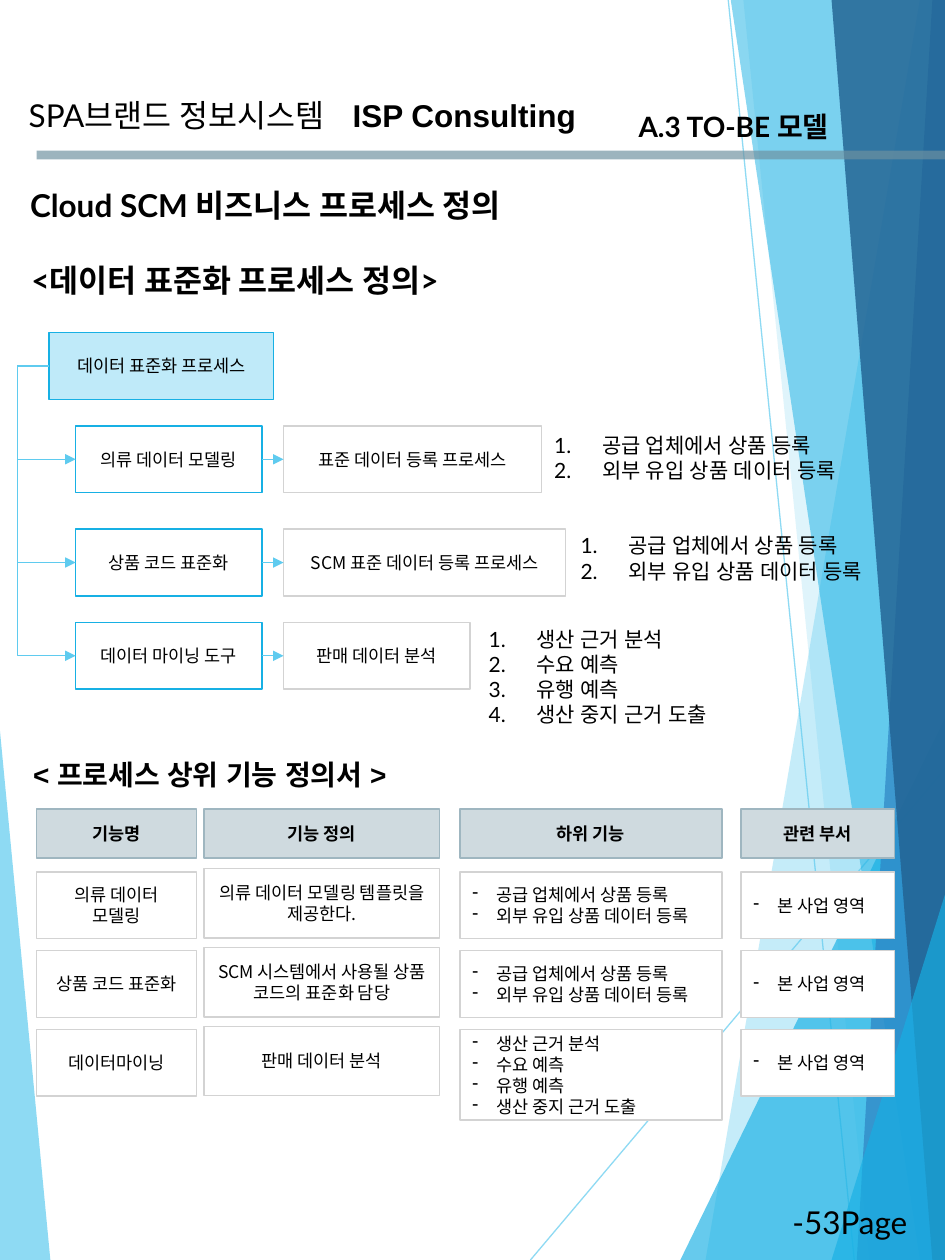
import pptx
import pptx.dml.color
import pptx.enum.shapes
import pptx.enum.text
import pptx.oxml
import pptx.oxml.ns
import pptx.util

COLUMNS, ROWS = 75, 100          # slide grid of square cells
CELL = pptx.util.Inches(0.1)
COLORS = {
    "text": "000000", "paper": "FFFFFF", "sky": "5FCBEF", "cyan": "17B0E4",
    "blue": "2E83C3", "navy": "226292", "pale": "BFEAF9", "grey": "D3D3D3",
    "rule": "6E91A0", "head": "CFDADF", "head_edge": "9FB6C0",
}
BOX_FONT = "Noto Sans CJK KR"
ALIGN = pptx.enum.text.PP_ALIGN
ANCHOR = pptx.enum.text.MSO_ANCHOR
CONNECTOR = pptx.enum.shapes.MSO_CONNECTOR
RECTANGLE = pptx.enum.shapes.MSO_SHAPE.RECTANGLE
TOP_LEVEL = [  # facets: points in cells, colour, opacity
    ([(-0.1, 58.5), (3.7, 100.1), (-0.1, 100)], "sky", 70),
    ([(73.1, 0), (56.5, 100), (75.1, 100.1), (75.1, 0)], "sky", 36),
    ([(59.1, -0.1), (69, 100), (75.1, 100), (75.1, -0.1)], "sky", 20),
    ([(54.4, 100), (75, 57.2), (75.1, 100)], "cyan", 66),
    ([(57.5, -0.1), (72.7, 100), (75.1, 99.9), (75.1, -0.1)], "cyan", 50),
    ([(73.6, -0.1), (68, 100), (75.1, 100), (75, -0.1)], "blue", 70),
    ([(66.4, -0.1), (74.1, 100), (75.1, 100), (75, -0.1)], "navy", 82),
    ([(66.2, 100), (75.1, 71.4), (75.2, 99.9)], "cyan", 66),
]
REGISTER = ["공급 업체에서 상품 등록", "외부 유입 상품 데이터 등록"]
MINING = ["생산 근거 분석", "수요 예측", "유행 예측", "생산 중지 근거 도출"]


def cells(*lengths):
    return [round(length * CELL) for length in lengths]


def color(name):
    return pptx.dml.color.RGBColor.from_string(COLORS[name])


def element(tag, **values):
    node = pptx.oxml.parse_xml(f"<a:{tag} {pptx.oxml.ns.nsdecls('a')}/>")
    for key, value in values.items():
        node.set(key, str(value))
    return node


def set_opacity(shape, percent):
    for node in shape._element.spPr.iter(pptx.oxml.ns.qn("a:srgbClr")):
        node.append(element("alpha", val=percent * 1000))


def write(shape, lines, size, font, bold=False, align=ALIGN.LEFT, bullet=None,
          indent=0, spacing=None):
    frame = shape.text_frame
    for index, line in enumerate(lines):
        para = frame.paragraphs[0] if index == 0 else frame.add_paragraph()
        if bullet is not None:
            properties = para._p.get_or_add_pPr()
            offset = int(pptx.util.Inches(indent))
            properties.set("marL", str(offset))
            properties.set("indent", str(-offset))
            properties.append(element(*bullet[:1], **bullet[1]))
        para.alignment = align
        if spacing:
            para.line_spacing = pptx.util.Pt(spacing)
        span = para.add_run()
        span.text = line
        look = {"size": pptx.util.Pt(size), "name": font, "bold": bold}
        for key, value in look.items():
            setattr(span.font, key, value)
        span.font.color.rgb = color("text")
        span.font._element.append(element("ea", typeface=font))


def add_text(slide, place, lines, size, font="Lato", wrap=False, **style):
    box = slide.shapes.add_textbox(*cells(*place))
    box.text_frame.word_wrap = wrap
    write(box, lines, size, font, **style)


def add_numbers(slide, place, lines):
    add_text(slide, place, lines, 12, indent=0.38,
             bullet=("buAutoNum", {"type": "arabicPeriod"}))


def add_box(slide, place, lines, fill="paper", edge="grey", dashes=False,
            bold=False):
    box = slide.shapes.add_shape(RECTANGLE, *cells(*place))
    box.shadow.inherit = False
    box.fill.solid()
    box.fill.fore_color.rgb = color(fill)
    box.line.color.rgb = color(edge)
    box.line.width = pptx.util.Pt(0.85)
    box.text_frame.word_wrap = True
    box.text_frame.vertical_anchor = ANCHOR.MIDDLE
    style = {"align": ALIGN.CENTER}
    if dashes:
        style = {"bullet": ("buChar", {"char": "-"}), "indent": 0.19}
    write(box, lines, 10, BOX_FONT, bold=bold, spacing=12, **style)
    return box


def add_line(slide, ends, name="sky", width=0.75, opacity=100,
             kind=CONNECTOR.STRAIGHT):
    line = slide.shapes.add_connector(kind, *cells(*ends))
    line.line.color.rgb = color(name)
    line.line.width = pptx.util.Pt(width)
    line._element.spPr.append(element("effectLst"))
    if opacity < 100:
        set_opacity(line, opacity)
    return line


def add_arrow(slide, start, start_side, end, kind=CONNECTOR.STRAIGHT):
    arrow = add_line(slide, (0, 0, 1, 1), kind=kind)
    arrow.begin_connect(start, start_side)
    arrow.end_connect(end, 1)
    arrow.line._get_or_add_ln().append(element("tailEnd", type="triangle"))
    return arrow


def add_branch(slide, start, end):
    branch = add_arrow(slide, start, 1, end, CONNECTOR.ELBOW)
    guides = branch._element.spPr.prstGeom.get_or_add_avLst()
    guides.append(element("gd", name="adj1", fmla="val -121200"))


def add_facet(slide, points, name, opacity):
    builder = slide.shapes.build_freeform(*points[0], scale=CELL)
    builder.add_line_segments(points[1:], close=True)
    facet = builder.convert_to_shape()
    facet.shadow.inherit = False
    facet.fill.solid()
    facet.fill.fore_color.rgb = color(name)
    facet.line.fill.background()
    set_opacity(facet, opacity)


def add_backdrop(slide):
    add_facet(slide, *TOP_LEVEL[0])
    add_line(slide, (42.1, 100, 75.1, 60.9), opacity=70)
    add_line(slide, (57.8, 0, 67.8, 100), opacity=70)
    for facet in TOP_LEVEL[1:]:
        add_facet(slide, *facet)


def add_headings(slide):
    add_line(slide, (2.9, 12.3, COLUMNS, 12.3), "rule", 5, 67)
    add_text(slide, (27, 7.1, 20.7, 4), ["ISP Consulting"], 18, "Arial", bold=True)
    add_text(slide, (1.3, 7.1, 27.4, 4), ["SPA브랜드 정보시스템"], 18)
    add_text(slide, (49.7, 8.2, 17.6, 3.7), ["A.3 TO-BE 모델"], 16, bold=True)
    add_text(slide, (1.4, 14.3, 41.1, 4), ["Cloud SCM 비즈니스 프로세스 정의"], 18,
             bold=True)
    add_text(slide, (1.5, 20.2, 36.9, 4), ["<데이터 표준화 프로세스 정의>"], 18,
             bold=True)
    add_text(slide, (-0.3, 59.6, 33.9, 3.7), ["< 프로세스 상위 기능 정의서 >"], 16,
             "Arial", wrap=True, bold=True, align=ALIGN.CENTER)
    add_text(slide, (61.9, 95, 11.8, 4), ["-53Page-"], 18)


def add_process(slide):
    root = add_box(slide, (3.9, 26.4, 17.8, 5.3), ["데이터 표준화 프로세스"],
                   "pale", "cyan")
    steps = [  # top, step, process, process width, list place, list
        (33.8, "의류 데이터 모델링", "표준 데이터 등록 프로세스", 20.5,
         (43, 33.8, 26.4, 5), REGISTER),
        (42, "상품 코드 표준화", "SCM 표준 데이터 등록 프로세스", 22.4,
         (45.1, 41.8, 26.4, 5), REGISTER),
        (49.4, "데이터 마이닝 도구", "판매 데이터 분석", 14.8,
         (37.8, 49.2, 20.8, 9.1), MINING),
    ]
    for top, step, process, width, place, items in steps:
        step_box = add_box(slide, (6, top, 14.8, 5.3), [step], edge="cyan")
        process_box = add_box(slide, (22.5, top, width, 5.3), [process])
        add_branch(slide, root, step_box)
        add_arrow(slide, step_box, 3, process_box)
        add_numbers(slide, place, items)


def add_functions(slide):
    lefts, widths = (2.9, 16.2, 36.5, 58.8), (12.7, 18.7, 20.8, 12.2)
    heads = ("기능명", "기능 정의", "하위 기능", "관련 부서")
    for left, width, head in zip(lefts, widths, heads):
        add_box(slide, (left, 64.2, width, 3.9), [head], "head", "head_edge",
                bold=True)
    functions = [
        ("의류 데이터 모델링", "의류 데이터 모델링 템플릿을 제공한다.", REGISTER),
        ("상품 코드 표준화", "SCM 시스템에서 사용될 상품 코드의 표준화 담당", REGISTER),
        ("데이터마이닝", "판매 데이터 분석", MINING),
    ]
    for row, (name, meaning, items) in enumerate(functions):
        top = 69.2 + 6.25 * row
        contents = ([name], [meaning], items, ["본 사업 영역"])
        tops = (top, top - 0.25, top, top)
        heights = (5.3, 5.5, 7.2 if len(items) > 2 else 5.3, 5.3)
        for column, place in enumerate(zip(lefts, tops, widths, heights)):
            add_box(slide, place, contents[column], dashes=column > 1)


def main():
    deck = pptx.Presentation()
    deck.slide_width, deck.slide_height = cells(COLUMNS, ROWS)
    page = deck.slides.add_slide(deck.slide_layouts[6])
    add_backdrop(page)
    add_headings(page)
    add_process(page)
    add_functions(page)
    deck.save("out.pptx")


if __name__ == "__main__":
    main()
